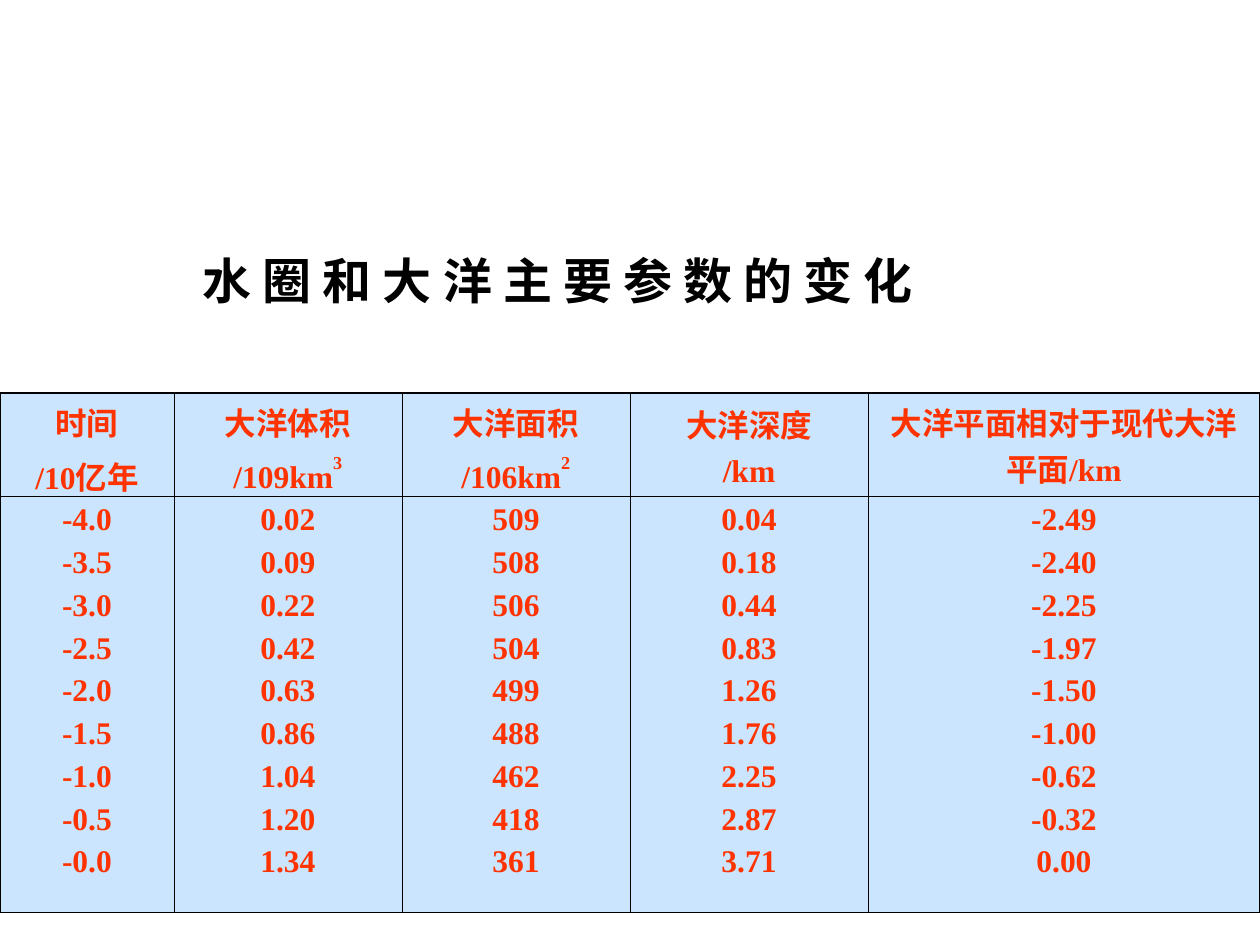
from dataclasses import dataclass

from lxml.etree import SubElement
from pptx import Presentation
from pptx.dml.color import RGBColor
from pptx.enum.text import MSO_ANCHOR, MSO_AUTO_SIZE, PP_ALIGN
from pptx.oxml import parse_xml
from pptx.oxml.ns import nsdecls, qn
from pptx.slide import Slide
from pptx.table import _Cell
from pptx.text.text import _Paragraph
from pptx.util import Inches, Pt

COLORS = {"title": "000000", "text": "FF3300", "cell": "99CCFF", "border": "000000"}
FONT = "Times New Roman"
OUTER, INNER = 1.08, 0.45
ROW_HEIGHTS = (0.82, 3.29)


@dataclass
class Column:
    width: float
    header: list[str]
    values: str
    power: str = ""


COLUMNS = [
    Column(1.38, ["时间", "/10亿年"], "-4.0 -3.5 -3.0 -2.5 -2.0 -1.5 -1.0 -0.5 -0.0"),
    Column(1.81, ["大洋体积", "/109km"], "0.02 0.09 0.22 0.42 0.63 0.86 1.04 1.20 1.34", "3"),
    Column(1.81, ["大洋面积", "/106km"], "509 508 506 504 499 488 462 418 361", "2"),
    Column(1.89, ["大洋深度", "/km"], "0.04 0.18 0.44 0.83 1.26 1.76 2.25 2.87 3.71"),
    Column(3.11, ["大洋平面相对于现代大洋平面/km"],
           "-2.49 -2.40 -2.25 -1.97 -1.50 -1.00 -0.62 -0.32 0.00"),
]


def style_runs(p: _Paragraph, size: int, color: str) -> None:
    for r in p.runs:
        r.font.name = FONT
        r.font.size = Pt(size)
        r.font.bold = True
        r.font.color.rgb = RGBColor.from_string(COLORS[color])


def fill_cell(cell: _Cell) -> None:
    """Give the cell a half-transparent fill."""
    cell.fill.solid()
    cell.fill.fore_color.rgb = RGBColor.from_string(COLORS["cell"])
    color = cell._tc.tcPr.find(qn("a:solidFill")).find(qn("a:srgbClr"))
    SubElement(color, qn("a:alpha"), val="50000")


def set_borders(cell: _Cell, widths: dict[str, float]) -> None:
    tcPr = cell._tc.get_or_add_tcPr()
    for i, (side, width) in enumerate(widths.items()):
        tcPr.insert(i, parse_xml(
            f'<a:ln{side} {nsdecls("a")} w="{Pt(width)}"><a:solidFill>'
            f'<a:srgbClr val="{COLORS["border"]}"/></a:solidFill></a:ln{side}>'))


def write_cell(cell: _Cell, lines: list[str], power: str = "") -> None:
    """Write one centred paragraph per line, with an optional final superscript."""
    tf = cell.text_frame
    tf.text = "\n".join(lines)
    if power:
        r = tf.paragraphs[-1].add_run()
        r.text = power
        r._r.get_or_add_rPr().set("baseline", "60000")
    for i, p in enumerate(tf.paragraphs):
        p.alignment = PP_ALIGN.CENTER
        p.space_before = Pt(4.5 if i else 0)
        style_runs(p, 18, "text")


def add_title(s: Slide, text: str) -> None:
    title = s.shapes.title
    title.left, title.top = Inches(1.51), Inches(1.94)
    title.width, title.height = Inches(5.83), Inches(0.57)
    tf = title.text_frame
    tf.text = text
    tf.word_wrap = False
    tf.auto_size = MSO_AUTO_SIZE.SHAPE_TO_FIT_TEXT
    tf.vertical_anchor = MSO_ANCHOR.TOP
    p = tf.paragraphs[0]
    p.alignment = PP_ALIGN.LEFT
    style_runs(p, 28, "title")


def add_parameter_table(s: Slide) -> None:
    table = s.shapes.add_table(2, len(COLUMNS), Inches(0), Inches(3.12),
                               Inches(10), Inches(sum(ROW_HEIGHTS))).table
    table.first_row = table.horz_banding = False
    for row, height in zip(table.rows, ROW_HEIGHTS):
        row.height = Inches(height)
    last = len(COLUMNS) - 1
    for j, column in enumerate(COLUMNS):
        table.columns[j].width = Inches(column.width)
        header, body = table.cell(0, j), table.cell(1, j)
        write_cell(header, column.header, column.power)
        header.vertical_anchor = MSO_ANCHOR.MIDDLE
        write_cell(body, column.values.split())
        for i, cell in enumerate((header, body)):
            fill_cell(cell)
            set_borders(cell, {
                "L": OUTER if j == 0 else INNER,
                "R": OUTER if j == last else INNER,
                "T": OUTER if i == 0 else INNER,
                "B": OUTER if i == 1 else INNER,
            })


def main() -> None:
    prs = Presentation()
    prs.slide_width, prs.slide_height = Inches(10), Inches(7.5)
    s = prs.slides.add_slide(prs.slide_layouts[5])
    add_title(s, "水 圈 和 大 洋 主 要 参 数 的 变 化")
    add_parameter_table(s)
    prs.save("out.pptx")


if __name__ == "__main__":
    main()
